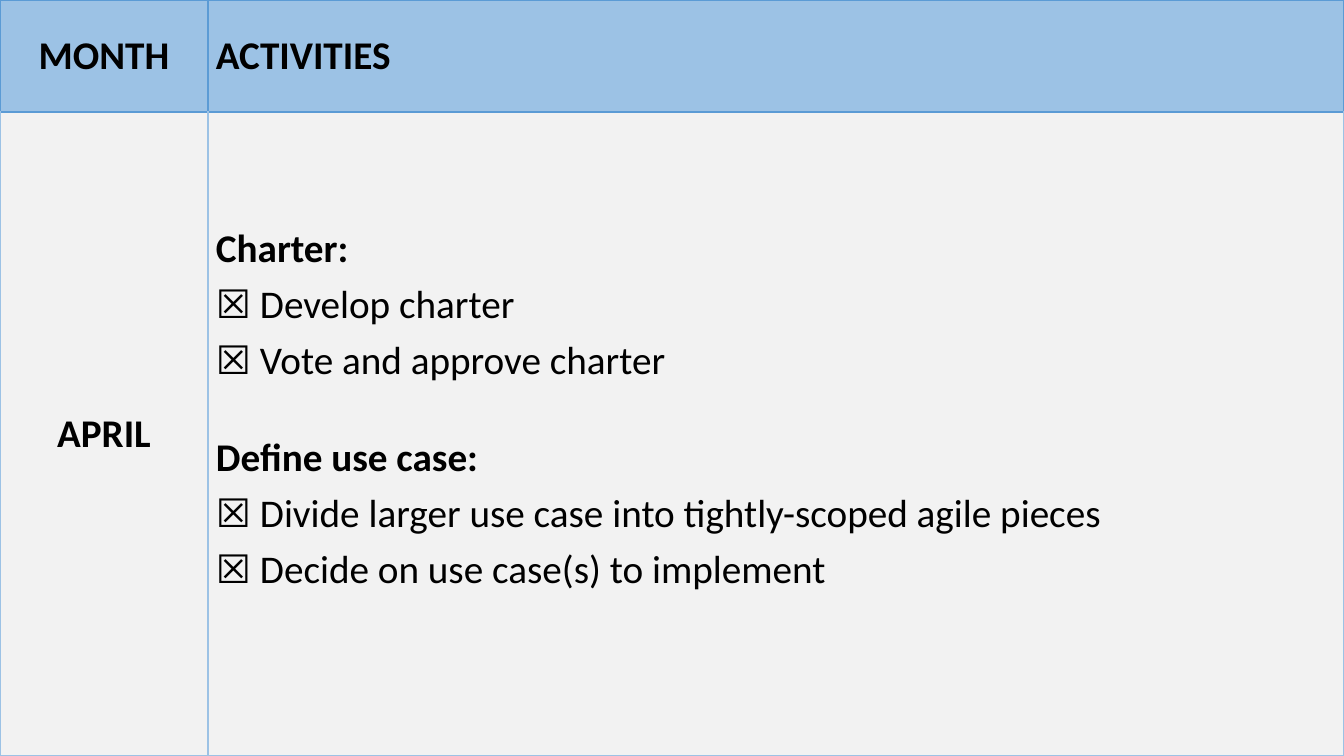
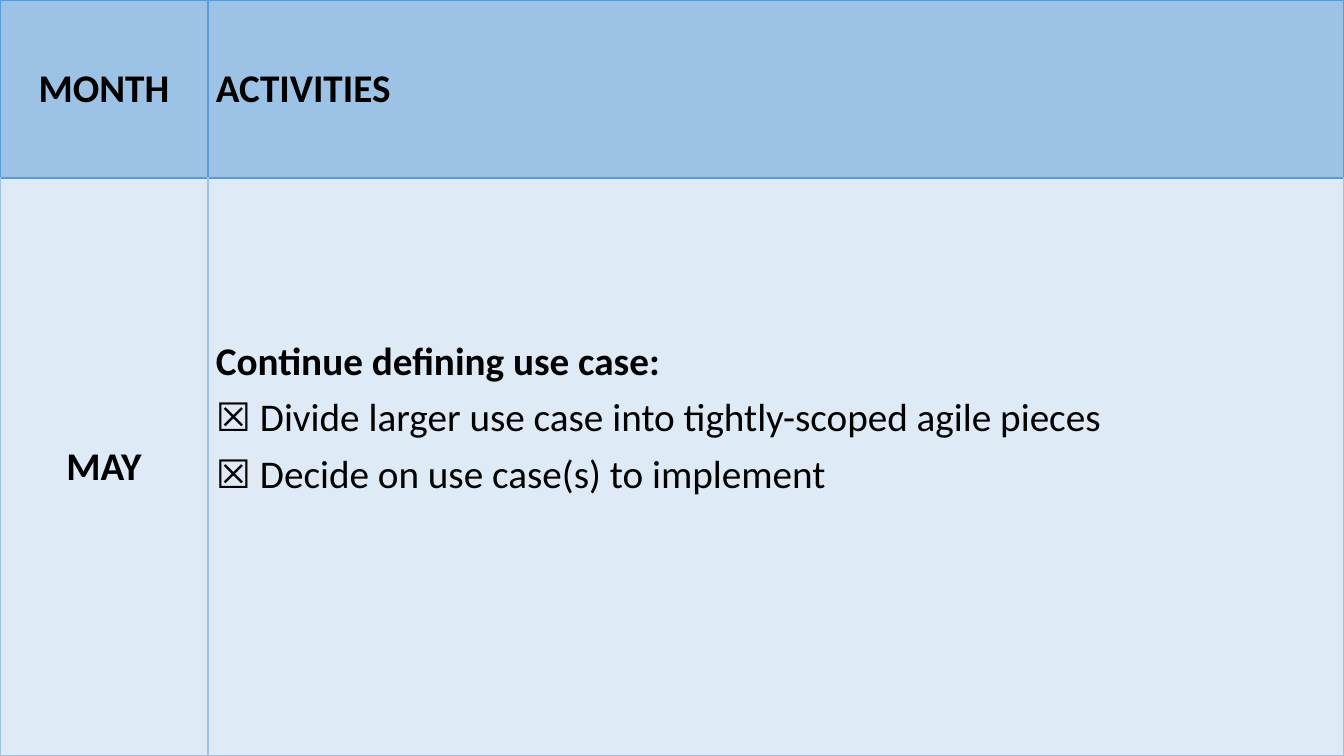
from dataclasses import dataclass

from lxml.etree import SubElement
from pptx import Presentation
from pptx.dml.color import RGBColor
from pptx.enum.text import MSO_ANCHOR as Anchor, PP_ALIGN as Align
from pptx.oxml.ns import qn
from pptx.util import Emu, Pt


@dataclass(frozen=True)
class Theme:
    text: str = "000000"
    head: str = "9CC2E5"
    edge: str = "5B9BD5"
    line: str = "9CC2E5"
    grey: str = "F2F2F2"
    pale: str = "DEEAF6"
    font: str = "Calibri"
    mark: str = "Noto Sans CJK JP"
    size: int = 28
    gap: int = 34
    rule: int = 1


T = Theme()
WIDE, HIGH = 1344, 756
MONTH_WIDE = 208
SIDE, HEAD_PAD, BODY_PAD = 8, 10, 5
HEADS = ("MONTH", "ACTIVITIES")
BOX = "☒"
SCOPE = (
    "Divide larger use case into tightly-scoped agile pieces",
    "Decide on use case(s) to implement",
)
PLANS = [
    {
        "month": "APRIL", "head": 112, "fill": T.grey, "pads": (5, 53),
        "groups": [
            ("Charter:", ("Develop charter", "Vote and approve charter")),
            ("Define use case:", SCOPE),
        ],
    },
    {
        "month": "MAY", "head": 178, "fill": T.pale, "pads": (5, 101),
        "groups": [("Continue defining use case:", SCOPE)],
    },
]


def px(n):
    return Emu(round(n * 12192000 / WIDE))


def style(para, bold, align=Align.LEFT):
    para.alignment = align
    font = para.font
    font.size, font.bold, font.name = Pt(T.size), bold, T.font
    font.color.rgb = RGBColor.from_string(T.text)


def border(cell, tints):
    props = cell._tc.get_or_add_tcPr()
    for side, tint in zip("LRTB", tints):
        line = SubElement(props, qn(f"a:ln{side}"), w=str(Pt(T.rule)))
        fill = SubElement(line, qn("a:solidFill"))
        SubElement(fill, qn("a:srgbClr"), val=tint)


def dress(cell, fill, tints, pads):
    border(cell, tints)
    cell.fill.solid()
    cell.fill.fore_color.rgb = RGBColor.from_string(fill)
    cell.vertical_anchor = Anchor.MIDDLE
    cell.margin_left = cell.margin_right = px(SIDE)
    cell.margin_top, cell.margin_bottom = map(px, pads)


def label(cell, text, align):
    para = cell.text_frame.paragraphs[0]
    para.text = text
    style(para, True, align)


def task(para, text):
    style(para, False)
    mark = para.add_run()
    mark.text = BOX
    mark.font.name = T.mark
    SubElement(mark.font._element, qn("a:ea"), typeface=T.mark)
    para.add_run().text = f" {text}"


def agenda(cell, groups):
    frame = cell.text_frame
    for i, (title, tasks) in enumerate(groups):
        para = frame.add_paragraph() if i else frame.paragraphs[0]
        para.text = title
        if i:
            para.space_before = Pt(T.gap)
        style(para, True)
        for text in tasks:
            task(frame.add_paragraph(), text)


def build(deck, plan):
    slide = deck.slides.add_slide(deck.slide_layouts[6])
    table = slide.shapes.add_table(2, 2, 0, 0, px(WIDE), px(HIGH)).table
    table.first_row = table.horz_banding = False
    for col, wide in zip(table.columns, (MONTH_WIDE, WIDE - MONTH_WIDE)):
        col.width = px(wide)
    for row, high in zip(table.rows, (plan["head"], HIGH - plan["head"])):
        row.height = px(high)
    body = (T.line, T.line, T.edge, T.line)
    body_pads = ((BODY_PAD, BODY_PAD), plan["pads"])
    for i, align in enumerate((Align.CENTER, Align.LEFT)):
        dress(table.cell(0, i), T.head, (T.edge,) * 4, (HEAD_PAD, HEAD_PAD))
        label(table.cell(0, i), HEADS[i], align)
        dress(table.cell(1, i), plan["fill"], body, body_pads[i])
    label(table.cell(1, 0), plan["month"], Align.CENTER)
    agenda(table.cell(1, 1), plan["groups"])


def main():
    deck = Presentation()
    deck.slide_width, deck.slide_height = px(WIDE), px(HIGH)
    for plan in PLANS:
        build(deck, plan)
    deck.save("out.pptx")


if __name__ == "__main__":
    main()
